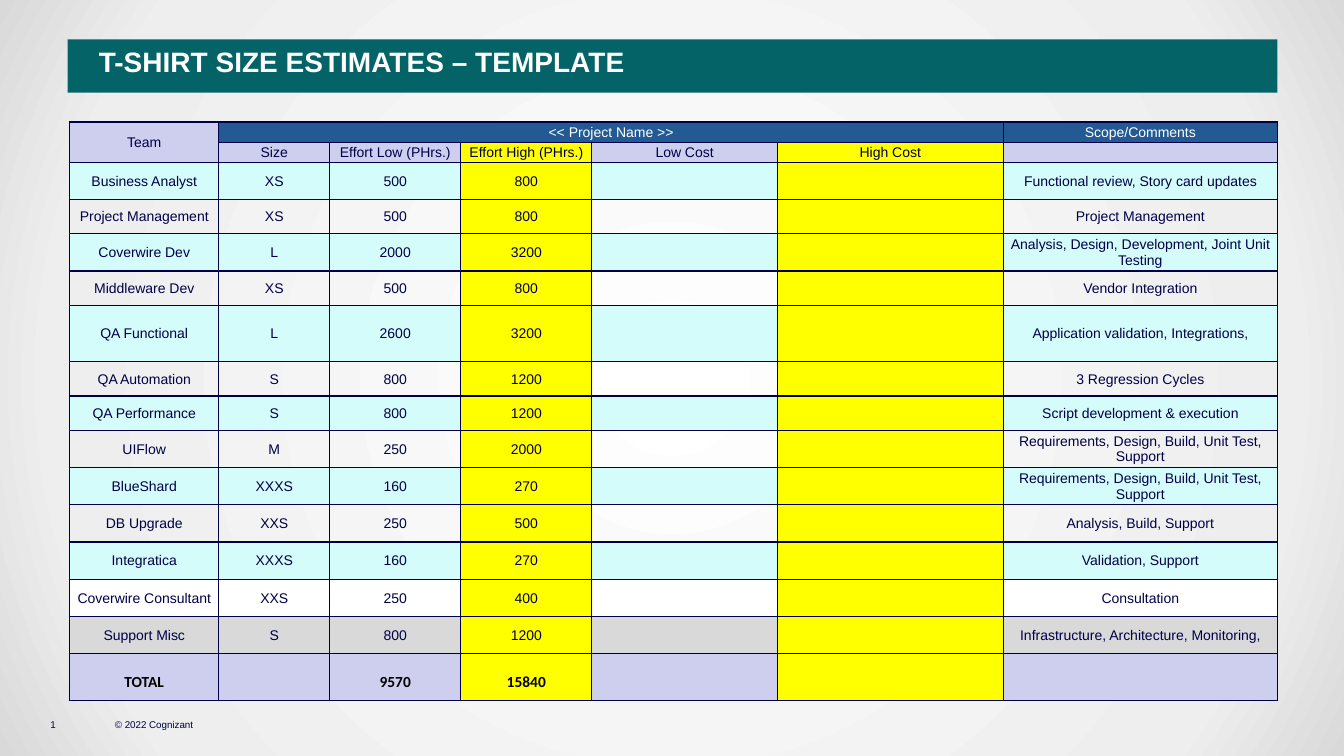
import dataclasses
import typing

import lxml.etree
import pptx
import pptx.dml.color
import pptx.enum.shapes
import pptx.enum.text
import pptx.oxml
import pptx.oxml.ns
import pptx.util

Inches = pptx.util.Inches
Pt = pptx.util.Pt
RGBColor = pptx.dml.color.RGBColor
Anchor = pptx.enum.text.MSO_ANCHOR
Align = pptx.enum.text.PP_ALIGN

NAVY = RGBColor(0x00, 0x00, 0x48)
BLACK = RGBColor(0x00, 0x00, 0x00)
WHITE = RGBColor(0xFF, 0xFF, 0xFF)
TEAL = RGBColor(0x03, 0x63, 0x66)
BLUE = RGBColor(0x23, 0x5A, 0x93)
LAVENDER = RGBColor(0xCE, 0xCF, 0xEF)
AQUA = RGBColor(0xD4, 0xFC, 0xFB)
YELLOW = RGBColor(0xFF, 0xFF, 0x00)
GREY = RGBColor(0xD9, 0xD9, 0xD9)
PALE_GREY = RGBColor(0xEE, 0xEE, 0xEE)

BACKDROP_STOPS = ((0, WHITE), (81, PALE_GREY), (100, GREY))
COLUMN_WIDTHS = (1.48, 1.1, 1.3, 1.3, 1.84, 2.24, 2.72)
HIGH_COLUMNS = (3, 5)

BODY_FONT = {"name": "Arial", "size": Pt(10)}
NAVY_FONT = BODY_FONT | {"color": NAVY}
HEADING_FONT = BODY_FONT | {"color": WHITE}
TOTAL_FONT = {"name": "Calibri", "size": Pt(11), "bold": True, "color": BLACK}
FOOTER_FONT = NAVY_FONT | {"size": Pt(7)}
TITLE_FONT = {"name": "Arial", "size": Pt(20), "bold": True, "color": WHITE}

CELL_FORMAT = {
    "margin_left": Inches(0.01),
    "margin_right": Inches(0.01),
    "margin_top": Inches(0.01),
    "margin_bottom": 0,
    "vertical_anchor": Anchor.MIDDLE,
}
FOOTER_FORMAT = {
    "margin_left": 0,
    "margin_right": 0,
    "margin_top": 0,
    "margin_bottom": 0,
    "word_wrap": False,
    "vertical_anchor": Anchor.BOTTOM,
}
TITLE_FORMAT = {
    "margin_left": Inches(0.31),
    "margin_right": 0,
    "margin_top": Inches(0.05),
    "margin_bottom": Inches(0.05),
    "word_wrap": True,
    "vertical_anchor": Anchor.TOP,
}


@dataclasses.dataclass(frozen=True)
class EstimateRow:
    team: str
    size: str = ""
    effort_low: str = ""
    effort_high: str = ""
    low_cost: str = ""
    high_cost: str = ""
    scope: str = ""
    height: float = 0.37
    fill: RGBColor | None = None
    font: dict[str, typing.Any] = dataclasses.field(default_factory=lambda: NAVY_FONT)
    spacing: float = 1.0

    def values(self) -> tuple[str, ...]:
        return (self.team, self.size, self.effort_low, self.effort_high,
                self.low_cost, self.high_cost, self.scope)


@dataclasses.dataclass(frozen=True)
class FooterText:
    text: str
    left: float
    width: float


def team_row(team: str, size: str, low: int, high: int, scope: str,
             height: float = 0.37, fill: RGBColor | None = None) -> EstimateRow:
    return EstimateRow(team, size, str(low), str(high), scope=scope, height=height, fill=fill)


ESTIMATES = (
    EstimateRow("Team", "<< Project Name >>", scope="Scope/Comments",
                height=0.2, fill=BLUE, font=HEADING_FONT),
    EstimateRow("", "Size", "Effort Low (PHrs.)", "Effort High (PHrs.)",
                "Low Cost", "High Cost", height=0.2, fill=LAVENDER),
    team_row("Business Analyst", "XS", 500, 800, "Functional review, Story card updates", fill=AQUA),
    team_row("Project Management", "XS", 500, 800, "Project Management", 0.34),
    team_row("Coverwire Dev", "L", 2000, 3200,
             "Analysis, Design, Development, Joint Unit Testing", fill=AQUA),
    team_row("Middleware Dev", "XS", 500, 800, "Vendor Integration", 0.34),
    team_row("QA Functional", "L", 2600, 3200, "Application validation, Integrations,", 0.56, AQUA),
    team_row("QA Automation", "S", 800, 1200, "3 Regression Cycles", 0.34),
    team_row("QA Performance", "S", 800, 1200, "Script development & execution", 0.34, AQUA),
    team_row("UIFlow", "M", 250, 2000, "Requirements, Design, Build, Unit Test, Support"),
    team_row("BlueShard", "XXXS", 160, 270,
             "Requirements, Design, Build, Unit Test, Support", fill=AQUA),
    team_row("DB Upgrade", "XXS", 250, 500, "Analysis, Build, Support"),
    team_row("Integratica", "XXXS", 160, 270, "Validation, Support", fill=AQUA),
    team_row("Coverwire Consultant", "XXS", 250, 400, "Consultation", fill=WHITE),
    team_row("Support Misc", "S", 800, 1200, "Infrastructure, Architecture, Monitoring,", fill=GREY),
    EstimateRow("TOTAL", effort_low="9570", effort_high="15840",
                height=0.46, fill=LAVENDER, font=TOTAL_FONT, spacing=1.5),
)
FOOTERS = (FooterText("© 2022 Cognizant", 1.14, 1.31), FooterText("1", 0.5, 0.39))


def apply_format(target: typing.Any, values: dict[str, typing.Any]) -> None:
    for attribute, value in values.items():
        if attribute == "color":
            target.color.rgb = value
        else:
            setattr(target, attribute, value)


def write_text(paragraph: typing.Any, text: str, font: dict[str, typing.Any]) -> None:
    if text:
        run = paragraph.add_run()
        run.text = text
        apply_format(run.font, font)
    else:
        lxml.etree.SubElement(paragraph._p, pptx.oxml.ns.qn("a:endParaRPr"),
                              sz=str(int(font["size"].pt * 100)))


def paint_backdrop(slide: typing.Any) -> None:
    fill = slide.background.fill
    fill.gradient()
    stops = "".join(f'<a:gs pos="{position * 1000}"><a:srgbClr val="{color}"/></a:gs>'
                    for position, color in BACKDROP_STOPS)
    radial = pptx.oxml.parse_xml(
        f'<a:gradFill {pptx.oxml.ns.nsdecls("a")} rotWithShape="1"><a:gsLst>{stops}</a:gsLst>'
        '<a:path path="circle"><a:fillToRect l="50000" t="50000" r="50000" b="50000"/></a:path>'
        '</a:gradFill>')
    linear = slide._element.find(".//" + pptx.oxml.ns.qn("a:gradFill"))
    linear.getparent().replace(linear, radial)


def draw_borders(cell: typing.Any) -> None:
    properties = cell._tc.get_or_add_tcPr()
    for side in ("lnL", "lnR", "lnT", "lnB"):
        properties.append(pptx.oxml.parse_xml(
            f'<a:{side} {pptx.oxml.ns.nsdecls("a")} w="{Pt(1)}"><a:solidFill>'
            f'<a:srgbClr val="{NAVY}"/></a:solidFill></a:{side}>'))


def fill_cell(cell: typing.Any, text: str, row: EstimateRow,
              fill: RGBColor | None, font: dict[str, typing.Any]) -> None:
    draw_borders(cell)
    apply_format(cell, CELL_FORMAT)
    if fill is None:
        cell.fill.background()
    else:
        cell.fill.solid()
        cell.fill.fore_color.rgb = fill
    paragraph = cell.text_frame.paragraphs[0]
    apply_format(paragraph, {"alignment": Align.CENTER, "line_spacing": row.spacing})
    write_text(paragraph, text, font)


def draw_estimates(slide: typing.Any) -> None:
    height = sum(row.height for row in ESTIMATES)
    table = slide.shapes.add_table(len(ESTIMATES), len(COLUMN_WIDTHS), Inches(0.69), Inches(1.21),
                                   Inches(sum(COLUMN_WIDTHS)), Inches(height)).table
    apply_format(table, {"first_row": False, "horz_banding": False})
    for column, width in zip(table.columns, COLUMN_WIDTHS):
        column.width = Inches(width)
    for row_index, row in enumerate(ESTIMATES):
        table.rows[row_index].height = Inches(row.height)
        for column_index, text in enumerate(row.values()):
            fill, font = row.fill, row.font
            if row_index == 0 and column_index == 0:
                fill, font = LAVENDER, NAVY_FONT
            elif row_index > 0 and column_index in HIGH_COLUMNS:
                fill = YELLOW
            fill_cell(table.cell(row_index, column_index), text, row, fill, font)
    table.cell(0, 0).merge(table.cell(1, 0))
    table.cell(0, 1).merge(table.cell(0, 5))


def draw_title(slide: typing.Any) -> None:
    banner = slide.shapes.add_shape(pptx.enum.shapes.MSO_SHAPE.RECTANGLE, Inches(0.67),
                                    Inches(0.39), Inches(12), Inches(0.53))
    banner.shadow.inherit = False
    banner.fill.solid()
    banner.fill.fore_color.rgb = TEAL
    banner.line.fill.background()
    apply_format(banner.text_frame, TITLE_FORMAT)
    paragraph = banner.text_frame.paragraphs[0]
    paragraph.alignment = Align.LEFT
    write_text(paragraph, "T-SHIRT SIZE ESTIMATES – TEMPLATE", TITLE_FONT)


def draw_footer(slide: typing.Any, footer: FooterText) -> None:
    frame = slide.shapes.add_textbox(Inches(footer.left), Inches(6.92),
                                     Inches(footer.width), Inches(0.33)).text_frame
    apply_format(frame, FOOTER_FORMAT)
    write_text(frame.paragraphs[0], footer.text, FOOTER_FONT)


def main() -> None:
    deck = pptx.Presentation()
    apply_format(deck, {"slide_width": Inches(13.33), "slide_height": Inches(7.5)})
    slide = deck.slides.add_slide(deck.slide_layouts[6])
    paint_backdrop(slide)
    for footer in FOOTERS:
        draw_footer(slide, footer)
    draw_title(slide)
    draw_estimates(slide)
    deck.save("out.pptx")


if __name__ == "__main__":
    main()
